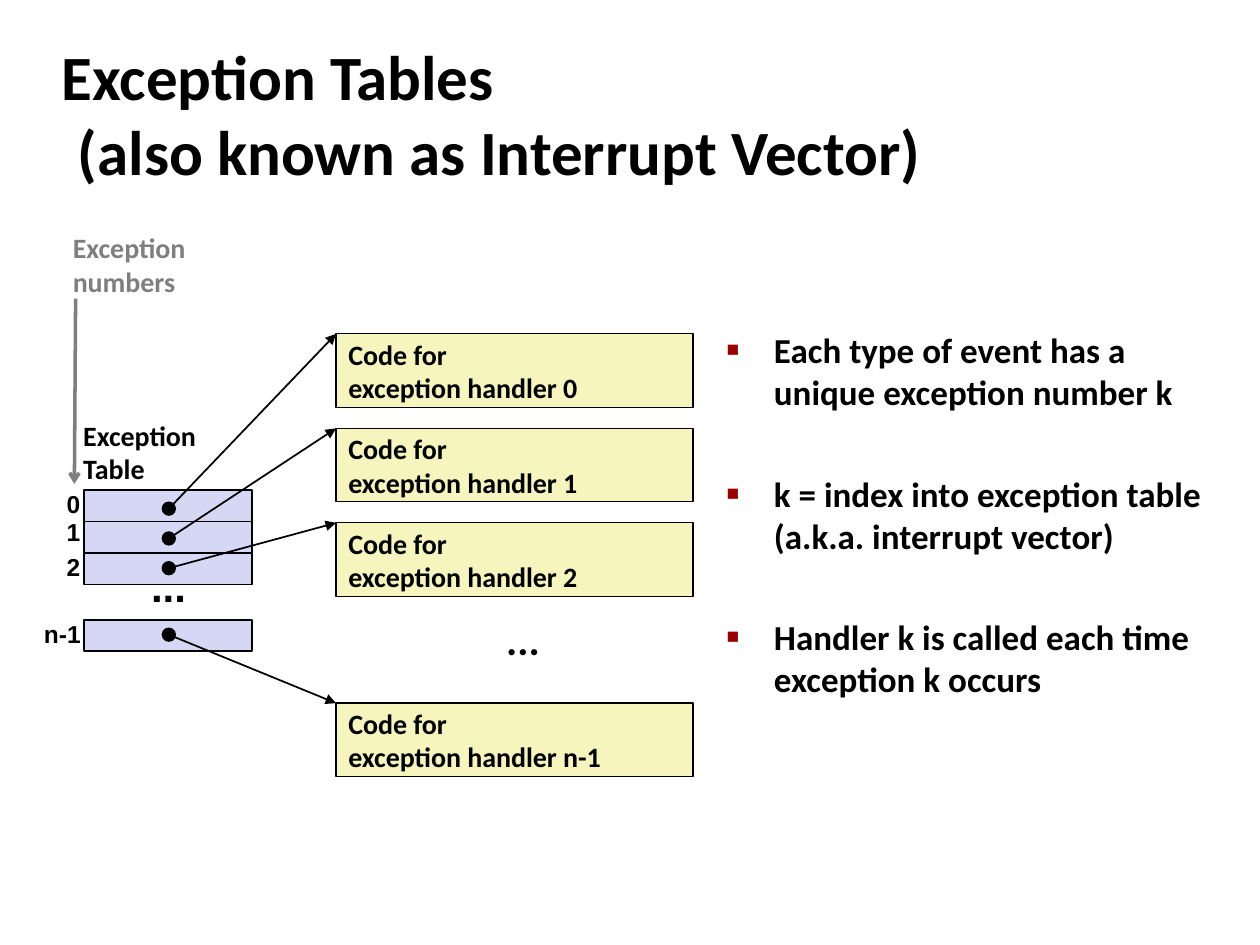
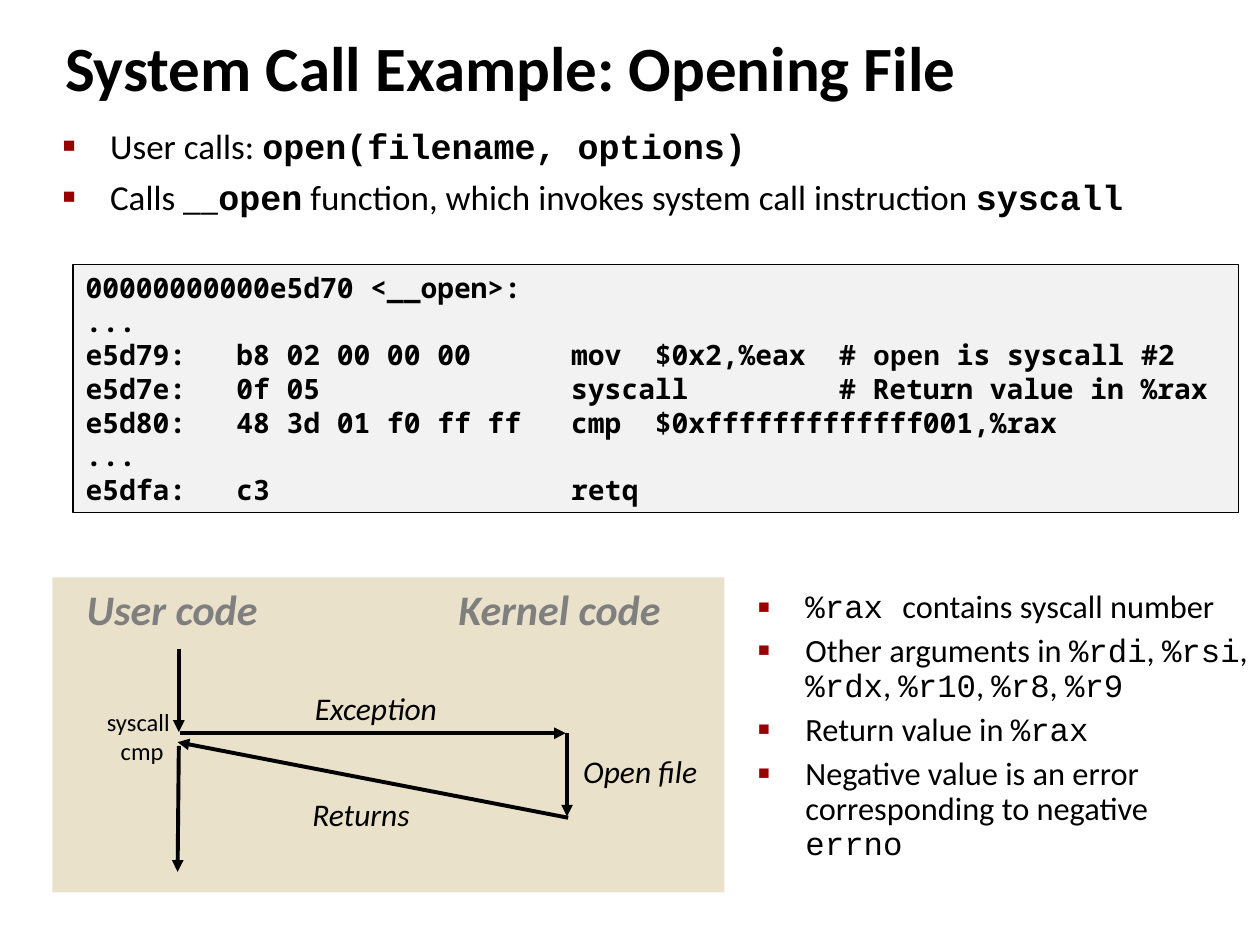
from typing import NamedTuple, Sequence

from lxml.etree import SubElement
from pptx import Presentation
from pptx.dml.color import RGBColor
from pptx.enum.shapes import MSO_CONNECTOR as Connector, MSO_SHAPE as Preset
from pptx.enum.text import MSO_ANCHOR as Anchor, MSO_AUTO_SIZE as AutoSize, PP_ALIGN as Align
from pptx.oxml.ns import qn
from pptx.util import Pt

BLACK, GRAY, RED = "000000", "7F7F7F", "990000"
TABLE_BLUE, HANDLER_YELLOW = "D6D6F5", "F6F5BD"
PANEL_TAN, CODE_GRAY = "E9E1C9", "F2F2F2"
BODY, CODE, LABEL, LISTING = "Calibri", "Courier New", "Arial", "Noto Sans Mono"
TITLE_ONLY = 5
BULLET_INDENT, TITLE_INDENT = 27, 9.36


class Area(NamedTuple):
    left: float
    top: float
    width: float
    height: float


class Entry(NamedTuple):
    number: str
    row_top: float
    dot_y: float
    handler_top: float
    number_area: Area


class Label(NamedTuple):
    lines: list[str]
    area: Area
    size: float
    color: str = BLACK
    font: str = BODY
    bold: bool = False
    italic: bool = False
    anchor: Anchor = Anchor.TOP
    wrap: bool = False


class Arrow(NamedTuple):
    start: tuple[float, float]
    end: tuple[float, float]


ENTRIES = [
    Entry("0", 280, 290.7, 190.8, Area(31, 275.8, 22, 24.5)),
    Entry("1", 298, 307.7, 244.8, Area(31, 291.6, 22, 24.5)),
    Entry("2", 316, 324.7, 298.8, Area(31, 311.8, 22, 24.5)),
    Entry("n-1", 354.2, 362.7, 401.8, Area(18, 349.9, 35.3, 24.5)),
]

TABLE_LABELS = [
    Label(["..."], Area(79.2, 316.8, 34.6, 36), 24, font=LABEL, bold=True, anchor=Anchor.MIDDLE),
    Label(["..."], Area(282.2, 347, 33.1, 36), 24, bold=True, anchor=Anchor.MIDDLE),
    Label(["Exception", "Table"], Area(40.5, 235.4, 79.2, 45.4), 16, bold=True),
    Label(["Exception", "numbers"], Area(34.5, 128.2, 82.8, 46), 16, GRAY, bold=True),
]

EVENT_POINTS = [
    "Each type of event has a\nunique exception number k",
    "k = index into exception table\n(a.k.a. interrupt vector)",
    "Handler k is called each time\nexception k occurs",
]

CALL_POINTS = [
    "User calls: `open(filename, options)`",
    "Calls __`open` function, which invokes system call instruction `syscall`",
]

REGISTER_POINTS = [
    "`%rax `contains syscall number",
    "Other arguments in `%rdi`, `%rsi`, `%rdx`, `%r10`, `%r8`, `%r9`",
    "Return value in `%rax`",
    "Negative value is an error corresponding to negative `errno`",
]

ASSEMBLY = [
    "00000000000e5d70 <__open>:",
    "...",
    "e5d79:   b8 02 00 00 00      mov  $0x2,%eax  # `open` is syscall #2",
    "e5d7e:   0f 05               syscall         # Return value in %rax",
    "e5d80:   48 3d 01 f0 ff ff   cmp  $0xfffffffffffff001,%rax",
    "...",
    "e5dfa:   c3                  retq",
]

FLOW_LABELS = [
    Label(["User code"], Area(42.5, 329.8, 112.3, 36), 24, GRAY, bold=True, italic=True),
    Label(["Kernel code"], Area(254.9, 329.8, 130.3, 36), 24, GRAY, bold=True, italic=True),
    Label(["Exception"], Area(172.8, 390.2, 85, 28.8), 18, italic=True),
    Label(["Open file"], Area(326.2, 426.2, 95.8, 28.8), 18, italic=True, wrap=True),
    Label(["Returns"], Area(171.4, 450.7, 70.6, 28.8), 18, italic=True),
    Label(["syscall"], Area(54, 400.3, 50.4, 24.5), 14),
    Label(["cmp"], Area(61.9, 416.9, 38.9, 24.5), 14),
]

FLOW_ARROWS = [
    Arrow((102.2, 370.8), (102.2, 418.3)),
    Arrow((103, 419), (323.3, 419)),
    Arrow((324, 419), (324, 466.6)),
    Arrow((324.7, 467.3), (101.5, 424.1)),
    Arrow((102.2, 426.2), (101.5, 498.2)),
]


def rgb(color: str) -> RGBColor:
    return RGBColor.from_string(color)


def points(area: Area) -> list[Pt]:
    return [Pt(value) for value in area]


def add_bullet(para) -> None:
    properties = para._p.get_or_add_pPr()
    color = SubElement(properties, qn("a:buClr"))
    SubElement(color, qn("a:srgbClr"), val=RED)
    SubElement(properties, qn("a:buSzPct"), val="60000")
    SubElement(properties, qn("a:buFont"), typeface=LABEL)
    SubElement(properties, qn("a:buChar"), char="■")


def write(frame, paragraphs: Sequence[str], *, size: float, font: str = BODY,
          color: str = BLACK, bold: bool = False, italic: bool = False,
          code_bold: bool = False, bulleted: bool = False, hanging: float = 0,
          gap: float = 0, line_spacing: float | None = None,
          anchor: Anchor = Anchor.TOP, wrap: bool = True) -> None:
    frame.word_wrap = wrap
    frame.auto_size = AutoSize.NONE
    frame.vertical_anchor = anchor
    for number, text in enumerate(paragraphs):
        para = frame.add_paragraph() if number else frame.paragraphs[0]
        para.alignment = Align.LEFT
        if hanging:
            properties = para._p.get_or_add_pPr()
            properties.set("marL", str(int(Pt(hanging))))
            properties.set("indent", str(-int(Pt(hanging))))
        if bulleted:
            add_bullet(para)
        if number and gap:
            para.space_before = Pt(gap)
        if line_spacing:
            para.line_spacing = line_spacing
        for part, content in enumerate(text.split("`")):
            is_code = part % 2 == 1
            for row, words in enumerate(content.split("\n")):
                if row:
                    para.add_line_break()
                if not words:
                    continue
                span = para.add_run()
                span.text = words
                span.font.name = CODE if is_code else font
                span.font.size = Pt(size)
                span.font.bold = code_bold if is_code else bold
                span.font.italic = italic
                span.font.color.rgb = rgb(color)


def add_box(page, area: Area, fill: str, line_width: float = 0, preset: Preset = Preset.RECTANGLE):
    box = page.shapes.add_shape(preset, *points(area))
    box.shadow.inherit = False
    box.fill.solid()
    box.fill.fore_color.rgb = rgb(fill)
    if line_width:
        box.line.color.rgb = rgb(BLACK)
        box.line.width = Pt(line_width)
    else:
        box.line.fill.background()
    return box


def add_text(page, area: Area, paragraphs: Sequence[str], **text_format) -> None:
    box = page.shapes.add_textbox(*points(area))
    write(box.text_frame, paragraphs, **text_format)


def add_label(page, label: Label) -> None:
    add_text(page, label.area, label.lines, size=label.size, color=label.color, font=label.font,
             bold=label.bold, italic=label.italic, anchor=label.anchor, wrap=label.wrap)


def add_bullets(page, area: Area, paragraphs: Sequence[str], **text_format) -> None:
    add_text(page, area, paragraphs, bulleted=True, hanging=BULLET_INDENT, **text_format)


def add_arrow(page, arrow: Arrow, width: float, color: str = BLACK, head: str = "triangle") -> None:
    ends = [Pt(value) for value in (*arrow.start, *arrow.end)]
    line = page.shapes.add_connector(Connector.STRAIGHT, *ends)
    line.line.color.rgb = rgb(color)
    line.line.width = Pt(width)
    properties = line.element.spPr
    SubElement(properties.find(qn("a:ln")), qn("a:tailEnd"), type=head)
    SubElement(properties, qn("a:effectLst"))


def add_page(deck, title: str, area: Area):
    page = deck.slides.add_slide(deck.slide_layouts[TITLE_ONLY])
    box = page.shapes.title
    box.left, box.top, box.width, box.height = points(area)
    write(box.text_frame, [title], size=36, bold=True, hanging=TITLE_INDENT, anchor=Anchor.MIDDLE)
    return page


def build_exception_tables(deck) -> None:
    page = add_page(deck, "Exception Tables\n(also known as Interrupt Vector)",
                    Area(28, 34.5, 597.6, 60))
    dot_x, dot_size = 96.5, 7.2
    handler_left = 192
    for entry in ENTRIES:
        add_box(page, Area(48, entry.row_top, 96, 18), TABLE_BLUE, 1)
        add_label(page, Label([entry.number], entry.number_area, 14, font=LABEL, bold=True,
                              anchor=Anchor.MIDDLE))
        handler = add_box(page, Area(handler_left, entry.handler_top, 204, 42),
                          HANDLER_YELLOW, 0.75)
        write(handler.text_frame, ["Code for", f"exception handler {entry.number}"],
              size=16, bold=True, anchor=Anchor.MIDDLE)
    for entry in ENTRIES:
        add_box(page, Area(dot_x - dot_size / 2, entry.dot_y - dot_size / 2, dot_size, dot_size),
                BLACK, 1, Preset.OVAL)
        add_arrow(page, Arrow((dot_x, entry.dot_y), (handler_left, entry.handler_top)), 1)
    for label in TABLE_LABELS:
        add_label(page, label)
    add_arrow(page, Arrow((43.2, 170.6), (42.5, 276.5)), 2, GRAY, "arrow")
    add_bullets(page, Area(408.2, 184.3, 300.2, 253.4), EVENT_POINTS, size=20, bold=True, gap=34)


def build_system_call(deck) -> None:
    page = add_page(deck, "System Call Example: Opening File", Area(30, 15.1, 677.5, 45.4))
    add_bullets(page, Area(28.8, 67.7, 661.7, 82), CALL_POINTS, size=20, code_bold=True, gap=5)
    listing = add_box(page, Area(41.8, 151.2, 666, 141.8), CODE_GRAY, 1)
    write(listing.text_frame, ASSEMBLY, size=16, font=LISTING, bold=True, code_bold=True)
    add_box(page, Area(30, 330, 384, 180), PANEL_TAN)
    for label in FLOW_LABELS:
        add_label(page, label)
    for arrow in FLOW_ARROWS:
        add_arrow(page, arrow, 2.25)
    add_bullets(page, Area(426.2, 334.1, 295.2, 200.2), REGISTER_POINTS, size=18.5, gap=5,
                line_spacing=0.9)


def main() -> None:
    deck = Presentation()
    deck.slide_width, deck.slide_height = Pt(720), Pt(540)
    build_exception_tables(deck)
    build_system_call(deck)
    deck.save("out.pptx")


if __name__ == "__main__":
    main()
